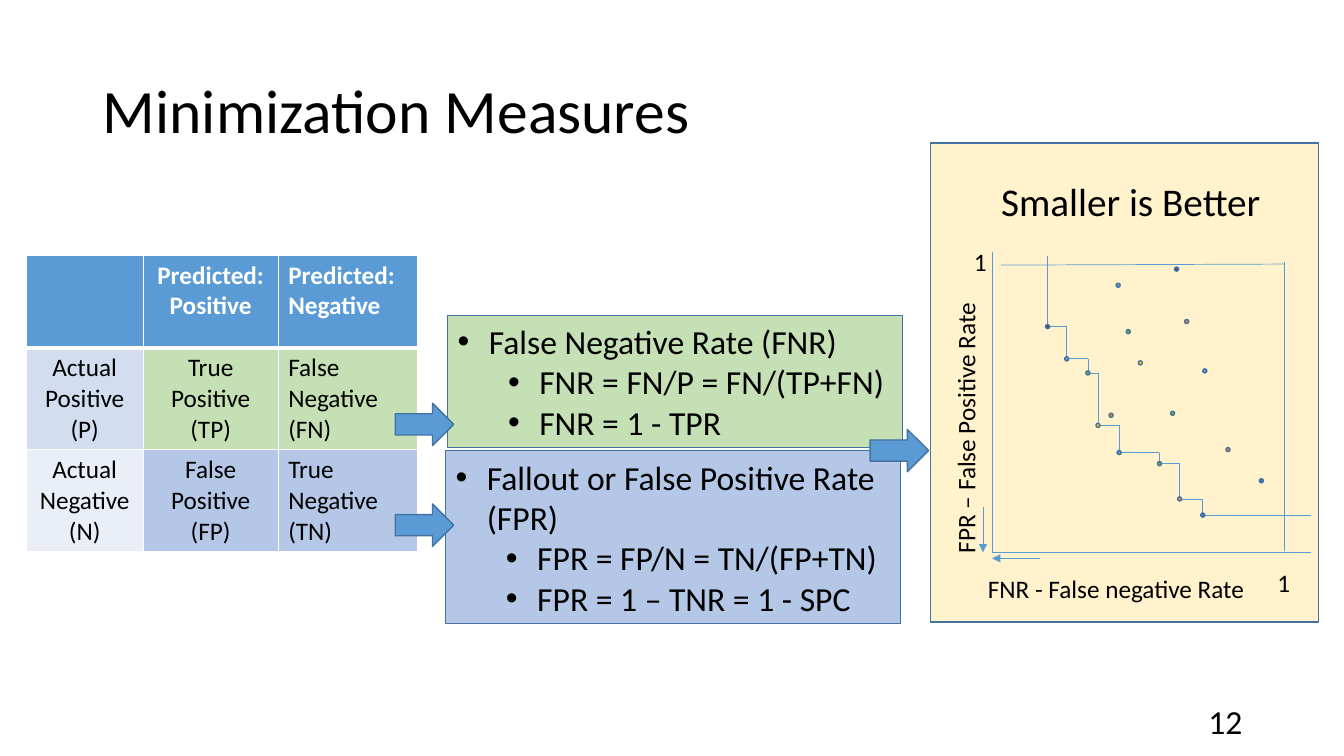
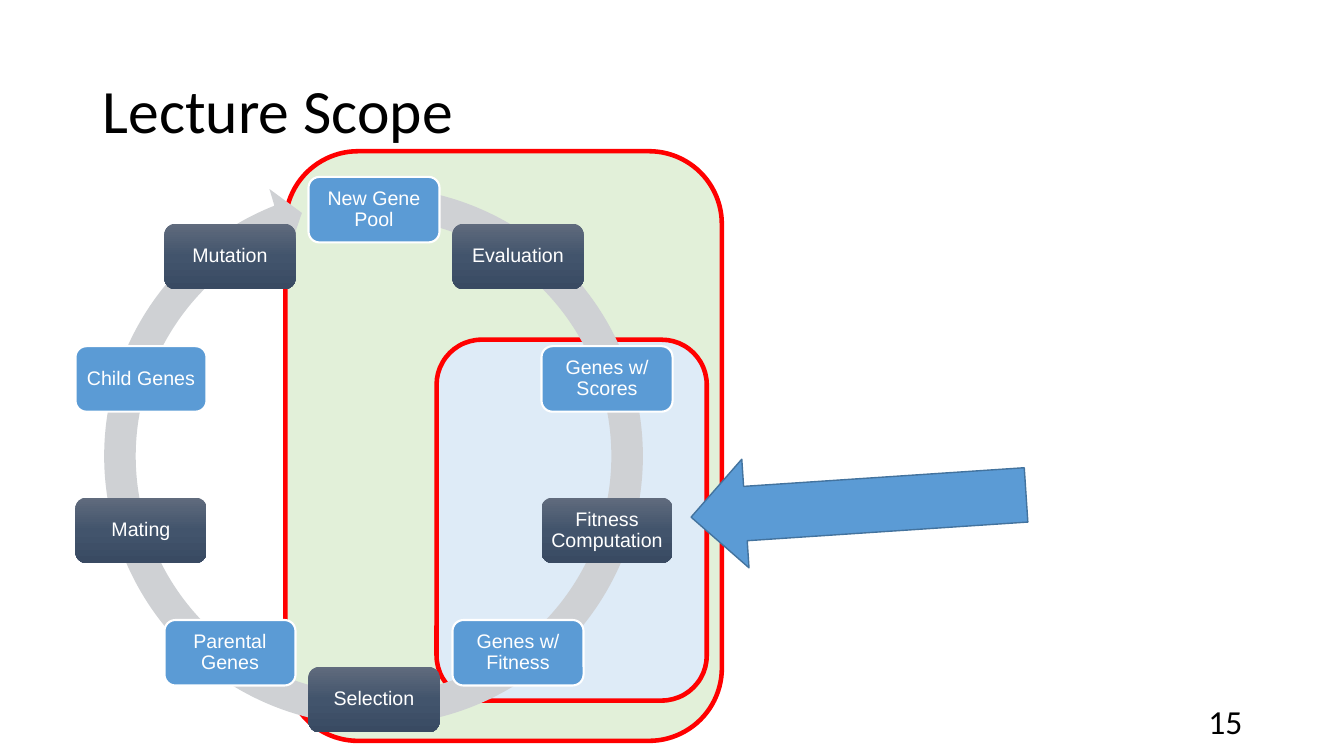
from copy import deepcopy
from math import cos, pi, sin

from lxml import etree
from pptx import Presentation
from pptx.dml.color import RGBColor
from pptx.enum.shapes import MSO_CONNECTOR, MSO_SHAPE as SHAPE
from pptx.enum.text import MSO_ANCHOR as ANCHOR, PP_ALIGN as ALIGN
from pptx.oxml.ns import qn
from pptx.util import Inches, Pt

BLACK, WHITE, RED = "000000", "FFFFFF", "FF0000"
BLUE, OUTLINE = "5B9BD5", "43739E"
GREEN, PERIWINKLE, CREAM = "C5E0B4", "B4C7E7", "FFF2CC"
SLATE, ORANGE, GOLD, LEAF, ROYAL = "44546A", "ED7D31", "FFC000", "70AD47", "4472C4"
DARK_STOPS = [(0, "606B7D"), (0.5, "42546C"), (1, "394A62")]
LEFT, CENTER, RIGHT = ALIGN.LEFT, ALIGN.CENTER, ALIGN.RIGHT


def rgb(color):
    return RGBColor.from_string(color)


def inches(*lengths):
    return [Inches(n) for n in lengths]


def format_text(tf, size, color=BLACK, font="Calibri", bold=False, align=LEFT, spacing=None):
    for p in tf.paragraphs:
        p.alignment = align
        if spacing:
            p.line_spacing = spacing
        for r in p.runs:
            r.font.size = Pt(size)
            r.font.name = font
            r.font.bold = bold
            r.font.color.rgb = rgb(color)


def add_title_slide(prs, title, number):
    s = prs.slides.add_slide(prs.slide_layouts[5])
    sp = s.shapes.title
    sp.left, sp.top, sp.width, sp.height = inches(0.92, 0.4, 11.5, 1.45)
    tf = sp.text_frame
    tf.text = title
    tf.vertical_anchor = ANCHOR.MIDDLE
    format_text(tf, 44, spacing=0.9)
    add_text(s, number, 9.42, 6.95, 3, 24, align=RIGHT, anchor=ANCHOR.MIDDLE)
    return s


def add_text(s, text, x, y, w, size, h=0.4, align=LEFT, anchor=ANCHOR.TOP, rotation=0):
    sp = s.shapes.add_textbox(*inches(x, y, w, h))
    sp.rotation = rotation
    tf = sp.text_frame
    tf.word_wrap = True
    tf.vertical_anchor = anchor
    tf.text = text
    format_text(tf, size, align=align)


def add_shape(s, kind, x, y, w, h, fill, line=None, width=1):
    sp = s.shapes.add_shape(kind, *inches(x, y, w, h))
    sp.shadow.inherit = False
    sp.fill.solid()
    sp.fill.fore_color.rgb = rgb(fill)
    if line:
        sp.line.color.rgb = rgb(line)
        sp.line.width = Pt(width)
    else:
        sp.line.fill.background()
    return sp


def add_arrow(s, x, y, w=0.58, h=0.42):
    return add_shape(s, SHAPE.RIGHT_ARROW, x, y, w, h, BLUE, OUTLINE)


def add_line(s, start, end, arrow=False):
    line = s.shapes.add_connector(MSO_CONNECTOR.STRAIGHT, *inches(*start, *end))
    line.line.color.rgb = rgb(BLUE)
    line.line.width = Pt(0.5)
    spPr = line._element.spPr
    if arrow:
        etree.SubElement(spPr.find(qn("a:ln")), qn("a:tailEnd"), type="triangle")
    etree.SubElement(spPr, qn("a:effectLst"))


def add_bullet_box(s, x, y, w, h, fill, lines):
    """The first line is the heading bullet; the others are one level deeper."""
    tf = add_shape(s, SHAPE.RECTANGLE, x, y, w, h, fill, OUTLINE, 0.75).text_frame
    tf.word_wrap = True
    tf.text = "\n".join(lines)
    for i, p in enumerate(tf.paragraphs):
        p.level = min(i, 1)
        pPr = p._p.get_or_add_pPr()
        pPr.set("marL", str(Inches(0.81 if i else 0.31)))
        pPr.set("indent", str(Inches(-0.31)))
        etree.SubElement(pPr, qn("a:buFont"), typeface="Arial")
        etree.SubElement(pPr, qn("a:buChar"), char="•")
    format_text(tf, 24)


def set_cell_borders(cell, bottom):
    """White borders, 1 pt wide except for the given bottom width."""
    tcPr = cell._tc.get_or_add_tcPr()
    for i, (side, width) in enumerate([("L", 1), ("R", 1), ("T", 1), ("B", bottom)]):
        ln = etree.Element(qn("a:ln" + side), w=str(Pt(width)))
        fill = etree.SubElement(ln, qn("a:solidFill"))
        etree.SubElement(fill, qn("a:srgbClr"), val=WHITE)
        tcPr.insert(i, ln)


def add_confusion_table(s):
    rows = [
        [("", BLUE), ("Predicted:\nPositive", BLUE), ("Predicted:\nNegative", BLUE)],
        [("Actual Positive (P)", "D2DEEF"), ("True Positive (TP)", GREEN),
         ("False Negative\n(FN)", GREEN)],
        [("Actual Negative (N)", "EAEFF7"), ("False Positive (FP)", PERIWINKLE),
         ("True\nNegative\n(TN)", PERIWINKLE)],
    ]
    table = s.shapes.add_table(3, 3, *inches(0.26, 2.53, 3.88, 2.94)).table
    for col, width in zip(table.columns, inches(1.16, 1.34, 1.38)):
        col.width = width
    for row, height in zip(table.rows, inches(0.92, 1.01, 1.01)):
        row.height = height
    for i, row in enumerate(rows):
        for j, (text, fill) in enumerate(row):
            cell = table.cell(i, j)
            cell.fill.solid()
            cell.fill.fore_color.rgb = rgb(fill)
            set_cell_borders(cell, bottom=1 if i else 3)
            cell.text_frame.text = text
            format_text(cell.text_frame, 18, BLACK if i else WHITE, bold=i == 0,
                        align=LEFT if j == 2 else CENTER)


def add_dot(s, x, y, fill):
    """Draw a dot centred on (x, y)."""
    add_shape(s, SHAPE.OVAL, x - 0.02, y - 0.02, 0.04, 0.04, fill, OUTLINE)


def add_pareto_plot(s):
    add_shape(s, SHAPE.RECTANGLE, 9.23, 1.42, 3.85, 4.75, CREAM, OUTLINE)
    origin = (9.84, 5.48)
    add_line(s, (9.84, 2.5), origin)
    add_line(s, origin, (13, 5.48))
    add_line(s, (10.32, 5.54), (9.84, 5.54), arrow=True)
    add_line(s, (9.75, 5.03), (9.75, 5.48), arrow=True)
    add_line(s, (9.93, 2.63), (12.74, 2.62))
    add_line(s, (12.74, 5.47), (12.74, 2.6))

    front = [(10.39, 3.24, SLATE), (10.58, 3.56, BLUE), (10.79, 3.7, LEAF),
             (10.89, 4.22, GOLD), (11.1, 4.49, BLUE), (11.5, 4.6, LEAF),
             (11.7, 4.95, ORANGE), (11.93, 5.11, ROYAL)]
    dominated = [(11.02, 4.12, ORANGE), (11.67, 2.67, SLATE), (11.09, 2.83, BLUE),
                 (11.63, 4.1, LEAF), (11.95, 3.68, BLUE), (11.31, 3.6, GOLD),
                 (11.77, 3.19, ORANGE), (11.19, 3.29, LEAF), (12.18, 4.46, ORANGE),
                 (12.51, 4.77, ROYAL)]
    x, y = front[0][0], 2.54
    for next_x, next_y, _ in front:
        if next_x != x:
            add_line(s, (x, y), (next_x, y))
        add_line(s, (next_x, y), (next_x, next_y))
        x, y = next_x, next_y
    add_line(s, (x, y), (13, y))
    for dot in dominated + front:
        add_dot(s, *dot)

    add_text(s, "Smaller is Better", 9.83, 1.71, 2.81, 28, h=0.57)
    add_text(s, "FPR – False Positive Rate", 8.19, 4, 2.77, 18, rotation=270)
    add_text(s, "FNR - False negative Rate", 9.7, 5.64, 2.96, 18)
    add_text(s, "1", 12.57, 5.58, 0.4, 18)
    add_text(s, "1", 9.56, 2.39, 0.4, 18)


def build_measures(prs):
    s = add_title_slide(prs, "Minimization Measures", "12")
    add_confusion_table(s)
    add_bullet_box(s, 4.44, 3.13, 4.51, 1.31, GREEN, [
        "False Negative Rate (FNR)", "FNR = FN/P = FN/(TP+FN)", "FNR = 1 - TPR"])
    add_bullet_box(s, 4.42, 4.47, 4.51, 1.72, PERIWINKLE, [
        "Fallout or False Positive Rate (FPR)", "FPR = FP/N = TN/(FP+TN)",
        "FPR = 1 – TNR = 1 - SPC"])
    add_pareto_plot(s)
    for x, y in [(3.92, 4), (3.92, 5), (8.63, 4.26)]:
        add_arrow(s, x, y)


def fill_dark_gradient(sp):
    sp.fill.gradient()
    sp.fill.gradient_angle = 270
    gs_list = sp._element.spPr.find(".//" + qn("a:gsLst"))
    gs_list.insert(1, deepcopy(gs_list[0]))
    for stop, (position, color) in zip(sp.fill.gradient_stops, DARK_STOPS):
        stop.position = position
        stop.color.rgb = rgb(color)


def add_cycle(s, labels):
    """Place the labels clockwise from the top; every second one is a dark step."""
    cx, cy, radius, w, h = 3.71, 4.51, 2.43, 1.3, 0.65
    ring = add_shape(s, SHAPE.CIRCULAR_ARROW, 0.86, 1.68, 5.69, 5.69, "CFD1D4")
    for i, value in enumerate([0.055, 3.307, 148.847, 167.417, 0.058]):
        ring.adjustments[i] = value
    for i, label in enumerate(labels):
        angle = 2 * pi * i / len(labels)
        x = cx + radius * sin(angle) - w / 2
        y = cy - radius * cos(angle) - h / 2
        is_step = i % 2 == 1
        sp = add_shape(s, SHAPE.ROUNDED_RECTANGLE, x, y, w, h, BLUE,
                       None if is_step else WHITE, 1.5)
        if is_step:
            fill_dark_gradient(sp)
        tf = sp.text_frame
        tf.word_wrap = True
        tf.margin_left = tf.margin_right = tf.margin_top = tf.margin_bottom = Inches(0.04)
        tf.text = label
        format_text(tf, 14, WHITE, "Arial", align=CENTER, spacing=0.9)


def build_scope(prs):
    s = add_title_slide(prs, "Lecture Scope", "15")
    for x, y, w, h, fill in [(2.83, 1.5, 4.33, 5.85, "E2F0D9"),
                             (4.33, 3.37, 2.68, 3.58, "DEEBF7")]:
        add_shape(s, SHAPE.ROUNDED_RECTANGLE, x, y, w, h, fill, RED, 3.25)
    add_cycle(s, ["New Gene Pool", "Evaluation", "Genes w/ Scores", "Fitness Computation",
                  "Genes w/ Fitness", "Selection", "Parental Genes", "Mating",
                  "Child Genes", "Mutation"])
    add_arrow(s, 6.85, 4.48, 3.33, 1.08).rotation = 176.2


def main():
    prs = Presentation()
    prs.slide_width, prs.slide_height = inches(13.33, 7.5)
    build_measures(prs)
    build_scope(prs)
    prs.save("out.pptx")


if __name__ == "__main__":
    main()
